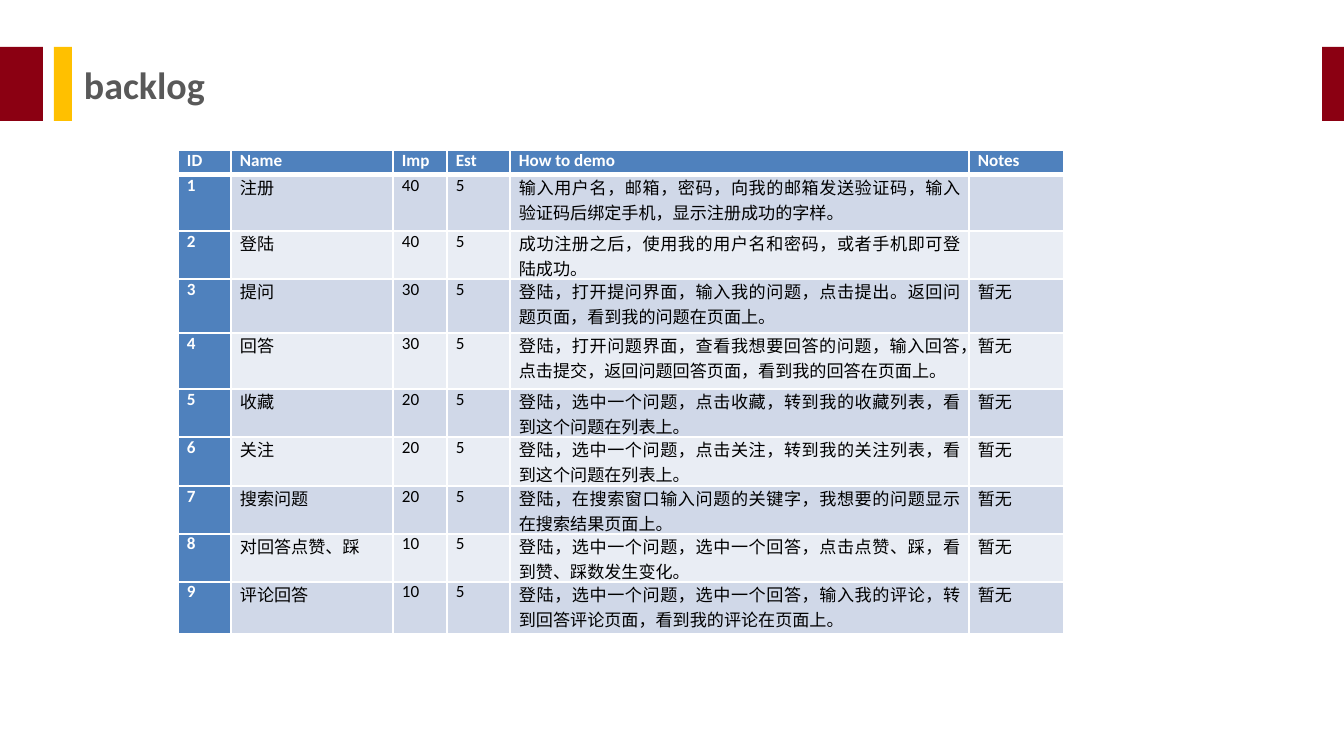
from pptx import Presentation
from pptx.dml.color import RGBColor
from pptx.enum.shapes import MSO_SHAPE
from pptx.enum.text import MSO_ANCHOR, MSO_AUTO_SIZE, PP_ALIGN
from pptx.util import Emu, Pt
from lxml.etree import SubElement
from pptx.oxml.ns import qn

SCALE = 6694  # EMU in one px
COLORS = {
    "red": "8B0012", "gold": "FFC000", "gray": "595959", "blue": "4F81BD",
    "band": "D0D8E8", "pale": "E9EDF4", "white": "FFFFFF", "black": "000000",
}
HEADS = ["ID", "Name", "Imp", "Est", "How to demo", "Notes"]
NONE = "暂无"
STORIES = [
    ("注册", 40, "输入用户名，邮箱，密码，向我的邮箱发送验证码，输入验证码后绑定手机，显示注册成功的字样。", ""),
    ("登陆", 40, "成功注册之后，使用我的用户名和密码，或者手机即可登陆成功。", ""),
    ("提问", 30, "登陆，打开提问界面，输入我的问题，点击提出。返回问题页面，看到我的问题在页面上。", NONE),
    ("回答", 30, "登陆，打开问题界面，查看我想要回答的问题，输入回答，点击提交，返回问题回答页面，看到我的回答在页面上。", NONE),
    ("收藏", 20, "登陆，选中一个问题，点击收藏，转到我的收藏列表，看到这个问题在列表上。", NONE),
    ("关注", 20, "登陆，选中一个问题，点击关注，转到我的关注列表，看到这个问题在列表上。", NONE),
    ("搜索问题", 20, "登陆，在搜索窗口输入问题的关键字，我想要的问题显示在搜索结果页面上。", NONE),
    ("对回答点赞、踩", 10, "登陆，选中一个问题，选中一个回答，点击点赞、踩，看到赞、踩数发生变化。", NONE),
    ("评论回答", 10, "登陆，选中一个问题，选中一个回答，输入我的评论，转到回答评论页面，看到我的评论在页面上。", NONE),
]
EST = 5
WIDTHS = [53, 162, 54, 63, 459, 95]
HEIGHTS = [25, 56, 48, 54, 56, 48, 49, 48, 48, 52]


def px(count):
    return Emu(count * SCALE)


def tint(name):
    return RGBColor.from_string(COLORS[name])


class Deck:
    def __init__(self, wide, high, font):
        self.font = font
        self.show = Presentation()
        self.show.slide_width, self.show.slide_height = px(wide), px(high)
        self.slide = self.show.slides.add_slide(self.show.slide_layouts[6])

    def style(self, para, size, color, bold):
        font = para.font
        font.name, font.size, font.bold = self.font, Pt(size), bold
        font.color.rgb = tint(color)

    def bar(self, left, top, wide, high, color):
        shape = self.slide.shapes.add_shape(
            MSO_SHAPE.RECTANGLE, px(left), px(top), px(wide), px(high))
        shape.shadow.inherit = False
        shape.fill.solid()
        shape.fill.fore_color.rgb = tint(color)
        shape.line.fill.background()

    def title(self, left, top, wide, high, text):
        box = self.slide.shapes.add_textbox(px(left), px(top), px(wide), px(high))
        frame = box.text_frame
        frame.word_wrap = True
        frame.auto_size = MSO_AUTO_SIZE.SHAPE_TO_FIT_TEXT
        frame.vertical_anchor = MSO_ANCHOR.MIDDLE
        frame.margin_left = frame.margin_right = 0
        frame.margin_top = frame.margin_bottom = 0
        frame.text = text
        self.style(frame.paragraphs[0], 20, "gray", True)

    def edges(self, cell, top, bottom):
        """Draw white borders; top and bottom widths are in points."""
        props = cell._tc.get_or_add_tcPr()
        for side, width in (("L", 1), ("R", 1), ("T", top), ("B", bottom)):
            line = SubElement(props, qn("a:ln" + side), w=str(Pt(width)))
            fill = SubElement(line, qn("a:solidFill"))
            SubElement(fill, qn("a:srgbClr"), val=COLORS["white"])

    def cell(self, cell, text, row, col):
        head = row == 0 or col == 0
        self.edges(cell, 3 if row == 1 else 1, 3 if row == 0 else 1)
        cell.fill.solid()
        cell.fill.fore_color.rgb = tint(
            "blue" if head else "band" if row % 2 else "pale")
        cell.margin_left = cell.margin_right = px(9)
        cell.margin_top = cell.margin_bottom = 0
        cell.text = str(text)
        para = cell.text_frame.paragraphs[0]
        para.alignment = PP_ALIGN.JUSTIFY
        self.style(para, 9, "white" if head else "black", head)

    def table(self, left, top, rows, widths, heights):
        grid = self.slide.shapes.add_table(
            len(rows), len(widths), px(left), px(top),
            px(sum(widths)), px(sum(heights))).table
        grid.horz_banding = False
        for column, width in zip(grid.columns, widths):
            column.width = px(width)
        for band, height in zip(grid.rows, heights):
            band.height = px(height)
        for row, texts in enumerate(rows):
            for col, text in enumerate(texts):
                self.cell(grid.cell(row, col), text, row, col)


def main():
    deck = Deck(1344, 753, "Calibri")
    for left, wide, color in ((-1, 44, "red"), (54, 18, "gold"), (1322, 22, "red")):
        deck.bar(left, 47, wide, 74, color)
    deck.title(84, 61, 242, 46, "backlog")
    rows = [HEADS] + [
        (num, name, imp, EST, demo, note)
        for num, (name, imp, demo, note) in enumerate(STORIES, 1)]
    deck.table(178, 150, rows, WIDTHS, HEIGHTS)
    deck.show.save("out.pptx")


if __name__ == "__main__":
    main()
